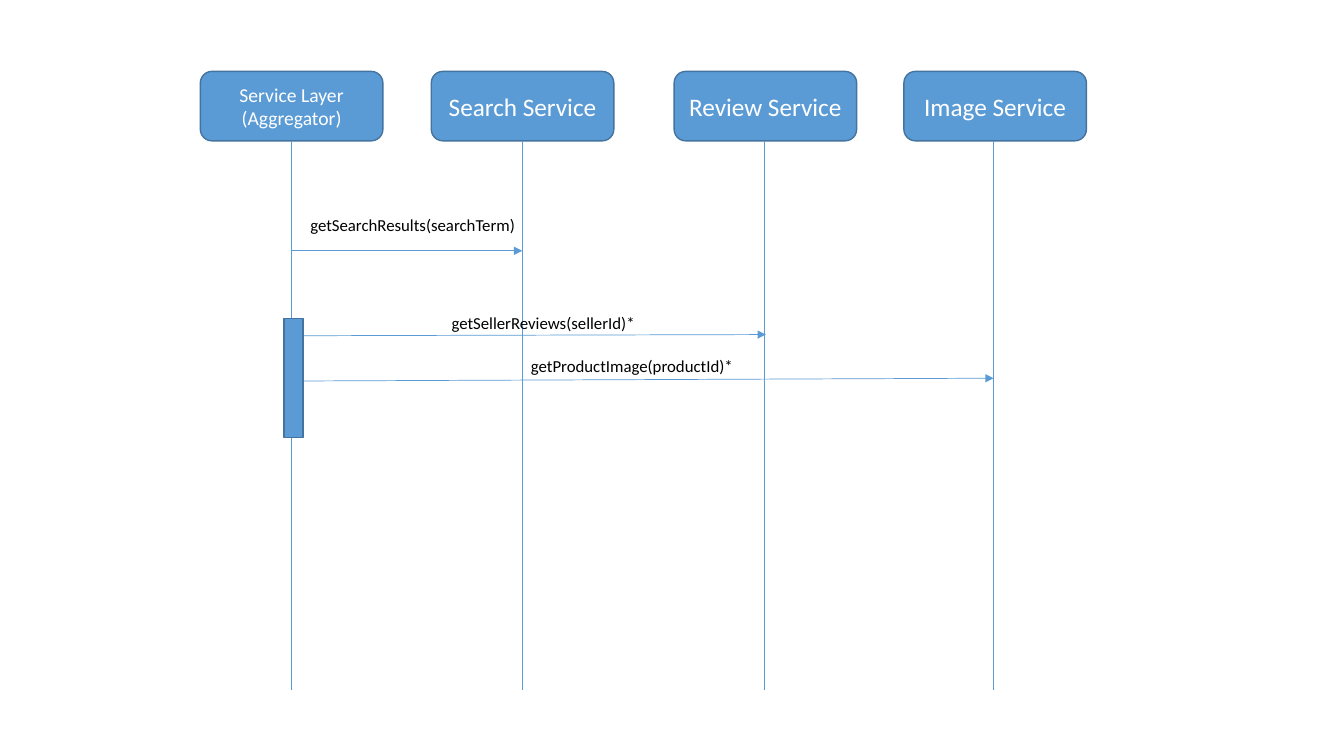
from dataclasses import dataclass

from lxml import etree
from pptx import Presentation
from pptx.dml.color import RGBColor
from pptx.enum.shapes import MSO_CONNECTOR, MSO_SHAPE
from pptx.enum.text import MSO_ANCHOR, MSO_AUTO_SIZE, PP_ALIGN
from pptx.oxml.ns import qn
from pptx.shapes.autoshape import Shape
from pptx.shapes.connector import Connector
from pptx.slide import Slide
from pptx.text.text import TextFrame
from pptx.util import Cm, Pt

STRAIGHT = MSO_CONNECTOR.STRAIGHT
ROUNDED = MSO_SHAPE.ROUNDED_RECTANGLE
RECTANGLE = MSO_SHAPE.RECTANGLE
MIDDLE = MSO_ANCHOR.MIDDLE
FIT_SHAPE = MSO_AUTO_SIZE.SHAPE_TO_FIT_TEXT
LEFT, CENTER = PP_ALIGN.LEFT, PP_ALIGN.CENTER

BLUE = RGBColor(0x5B, 0x9B, 0xD5)
DARK_BLUE = RGBColor(0x43, 0x73, 0x9E)
WHITE = RGBColor(0xFF, 0xFF, 0xFF)
BLACK = RGBColor(0x00, 0x00, 0x00)
FONT = "Calibri"

BOX_TOP, BOX_WIDTH, BOX_HEIGHT = 1.8, 4.6, 1.75
LIFELINE_TOP, LIFELINE_BOTTOM = 3.56, 17.4
LABEL_HEIGHT = 0.76


@dataclass(frozen=True)
class Participant:
    lines: tuple[str, ...]
    box_left: float
    lifeline: float
    size: int = 18


@dataclass(frozen=True)
class Message:
    text: str
    start: tuple[float, float]
    end: tuple[float, float]
    label_left: float
    label_top: float
    label_width: float


AGGREGATOR = Participant(("Service Layer", "(Aggregator)"), 5.05, 7.34, 14)
SEARCH = Participant(("Search Service",), 10.87, 13.16)
REVIEW = Participant(("Review Service",), 16.99, 19.25)
IMAGE = Participant(("Image Service",), 22.78, 25.04)
PARTICIPANTS = (AGGREGATOR, SEARCH, REVIEW, IMAGE)

MESSAGES = (
    Message("getSearchResults(searchTerm)", (AGGREGATOR.lifeline, 6.32),
            (SEARCH.lifeline, 6.32), 7.57, 5.28, 5.92),
    Message("getSellerReviews(sellerId)*", (7.57, 8.46),
            (19.3, 8.43), 11.13, 7.75, 5.46),
    Message("getProductImage(productId)*", (7.65, 9.6),
            (IMAGE.lifeline, 9.53), 13.13, 8.84, 5.69),
)


def write_lines(frame: TextFrame, lines: tuple[str, ...], size: int,
                color: RGBColor, alignment: PP_ALIGN) -> None:
    for index, line in enumerate(lines):
        paragraph = frame.add_paragraph() if index else frame.paragraphs[0]
        paragraph.alignment = alignment
        run = paragraph.add_run()
        run.text = line
        run.font.name = FONT
        run.font.size = Pt(size)
        run.font.color.rgb = color


def add_block(slide: Slide, kind: MSO_SHAPE, left: float, top: float,
              width: float, height: float) -> Shape:
    shape = slide.shapes.add_shape(kind, Cm(left), Cm(top), Cm(width), Cm(height))
    shape.shadow.inherit = False
    shape.fill.solid()
    shape.fill.fore_color.rgb = BLUE
    shape.line.color.rgb = DARK_BLUE
    shape.line.width = Pt(1)
    return shape


def add_line(slide: Slide, start: tuple[float, float],
             end: tuple[float, float]) -> Connector:
    connector = slide.shapes.add_connector(
        STRAIGHT, *(Cm(value) for value in start + end))
    connector.line.color.rgb = BLUE
    connector.line.width = Pt(0.5)
    etree.SubElement(connector._element.spPr, qn("a:effectLst"))
    return connector


def add_participant(slide: Slide, participant: Participant) -> None:
    box = add_block(slide, ROUNDED, participant.box_left, BOX_TOP,
                    BOX_WIDTH, BOX_HEIGHT)
    box.text_frame.vertical_anchor = MIDDLE
    write_lines(box.text_frame, participant.lines, participant.size, WHITE, CENTER)
    add_line(slide, (participant.lifeline, LIFELINE_TOP),
             (participant.lifeline, LIFELINE_BOTTOM))


def add_arrow(slide: Slide, message: Message) -> None:
    arrow = add_line(slide, message.start, message.end)
    etree.SubElement(arrow.line._get_or_add_ln(), qn("a:tailEnd"), type="triangle")


def add_label(slide: Slide, message: Message) -> None:
    label = slide.shapes.add_textbox(
        Cm(message.label_left), Cm(message.label_top),
        Cm(message.label_width), Cm(LABEL_HEIGHT))
    label.text_frame.word_wrap = True
    label.text_frame.auto_size = FIT_SHAPE
    write_lines(label.text_frame, (message.text,), 12, BLACK, LEFT)


def main() -> None:
    presentation = Presentation()
    presentation.slide_width = Cm(33.87)
    presentation.slide_height = Cm(19.05)
    slide = presentation.slides.add_slide(presentation.slide_layouts[6])
    for participant in PARTICIPANTS:
        add_participant(slide, participant)
    for message in MESSAGES:
        add_arrow(slide, message)
    add_block(slide, RECTANGLE, 7.16, 8.03, 0.48, 3)
    for message in MESSAGES:
        add_label(slide, message)
    presentation.save("out.pptx")


main()
